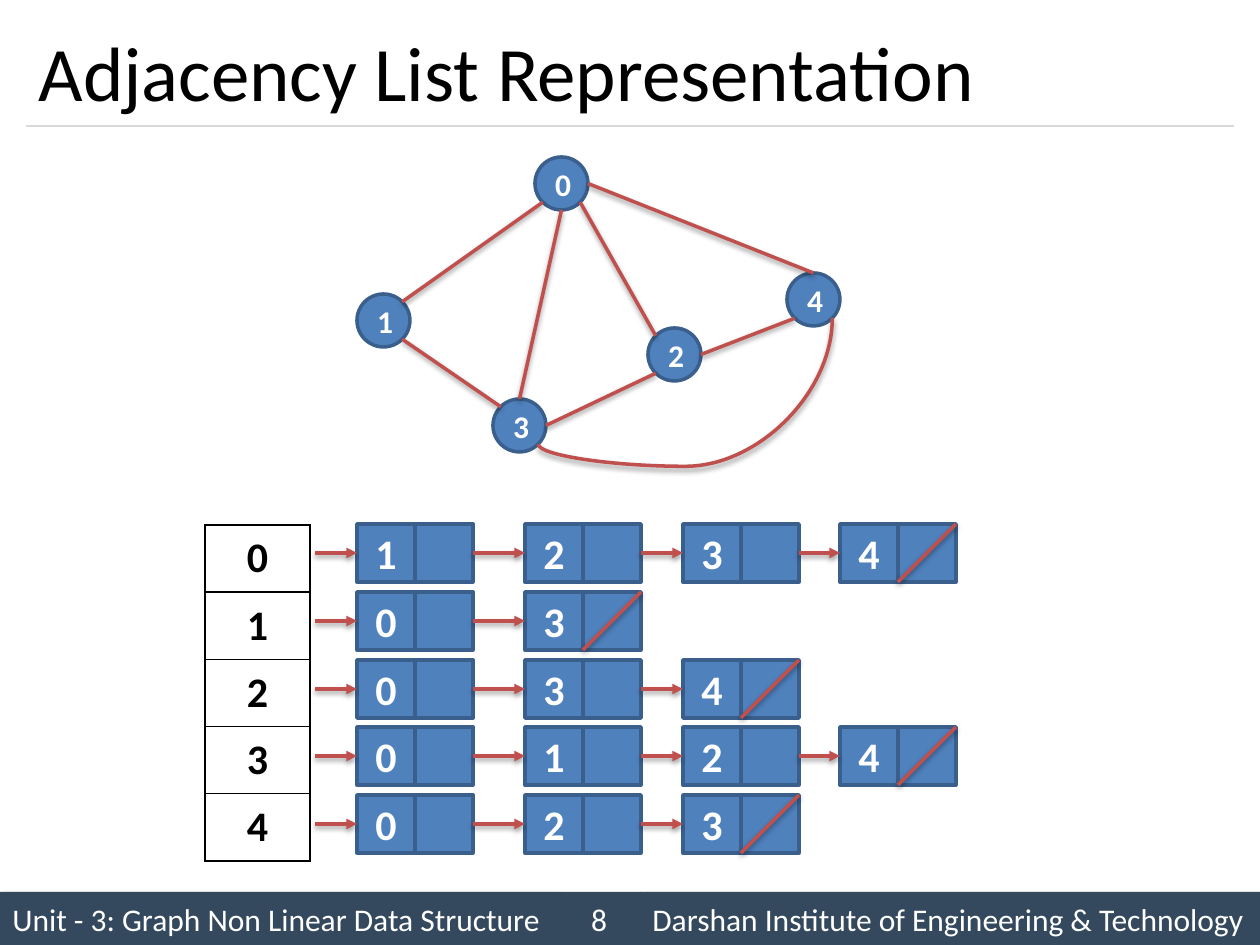
from dataclasses import dataclass
from math import cos, pi, sin

from lxml.etree import SubElement
from pptx import Presentation
from pptx.dml.color import RGBColor
from pptx.enum.shapes import MSO_CONNECTOR, MSO_SHAPE
from pptx.enum.text import MSO_ANCHOR, PP_ALIGN
from pptx.oxml.ns import qn
from pptx.util import Emu, Pt

PX_PER_INCH = 126
FONT = "Calibri"
BLUE, BLUE_LINE, RED = "4F81BD", "3A5F8C", "C0504D"
BLACK, WHITE, GREY, NAVY = "000000", "FFFFFF", "D9D9D9", "34495E"

NODE_SIZE = 53
CELL = 58
LIST_TOP, ROW_STEP = 524, 67.75
COLUMN_LEFTS = (357, 525, 683, 840)
ARROW_START = 315


@dataclass(frozen=True)
class Node:
    label: str
    left: int
    top: int

    def site(self, index: int) -> tuple[float, float]:
        """Point on the circle: 0 is the top, then 45 degree steps to the left."""
        radius, angle = NODE_SIZE / 2, pi / 2 + index * pi / 4
        return (self.left + radius + radius * cos(angle),
                self.top + radius - radius * sin(angle))


@dataclass(frozen=True)
class Edge:
    start: int
    start_site: int
    end: int
    end_site: int


@dataclass(frozen=True)
class FooterPart:
    text: str
    left: int
    width: int
    alignment: PP_ALIGN = PP_ALIGN.LEFT
    shadow: bool = True


NODES = (Node("0", 535, 157), Node("1", 357, 294), Node("2", 648, 328),
         Node("3", 493, 399), Node("4", 787, 273))
EDGES = (Edge(0, 3, 1, 7), Edge(1, 5, 3, 1), Edge(3, 6, 2, 3), Edge(2, 6, 4, 3),
         Edge(0, 4, 3, 0), Edge(0, 5, 2, 1), Edge(0, 6, 4, 0))
ADJACENCY = ("1234", "03", "034", "0124", "023")
FOOTER = (FooterPart("Unit - 3: Graph Non Linear Data Structure", 0, 557),
          FooterPart("Darshan Institute of Engineering & Technology", 640, 620),
          FooterPart("8", 557, 84, PP_ALIGN.CENTER, False))


def px(value: float) -> Emu:
    return Emu(round(value * 914400 / PX_PER_INCH))


def rgb(colour: str) -> RGBColor:
    return RGBColor.from_string(colour)


def write(text_frame, text: str, size: int, colour: str, bold: bool = False,
          alignment: PP_ALIGN = PP_ALIGN.CENTER) -> None:
    text_frame.text = text
    text_frame.vertical_anchor = MSO_ANCHOR.MIDDLE
    paragraph = text_frame.paragraphs[0]
    paragraph.alignment = alignment
    font = paragraph.runs[0].font
    font.name, font.size, font.bold = FONT, Pt(size), bold
    font.color.rgb = rgb(colour)


def add_shadow(shape, blur: float, distance: float, angle: int, opacity: int) -> None:
    properties = shape._element.spPr
    for effects in properties.findall(qn("a:effectLst")):
        properties.remove(effects)
    shadow = SubElement(SubElement(properties, qn("a:effectLst")), qn("a:outerShdw"),
                        blurRad=str(Pt(blur)), dist=str(Pt(distance)),
                        dir=str(angle * 60000), rotWithShape="0")
    colour = SubElement(shadow, qn("a:srgbClr"), val=BLACK)
    SubElement(colour, qn("a:alpha"), val=str(opacity * 1000))


def add_box(shapes, kind: MSO_SHAPE, left: float, top: float, width: float,
            height: float, fill: str, line: str = ""):
    shape = shapes.add_shape(kind, px(left), px(top), px(width), px(height))
    shape.shadow.inherit = False
    shape.fill.solid()
    shape.fill.fore_color.rgb = rgb(fill)
    if line:
        shape.line.color.rgb = rgb(line)
        shape.line.width = Pt(2)
    else:
        shape.line.fill.background()
    return shape


def add_red_line(shapes, start: tuple[float, float], end: tuple[float, float],
                 arrow: bool = False, kind: MSO_CONNECTOR = MSO_CONNECTOR.STRAIGHT):
    connector = shapes.add_connector(kind, *map(px, start + end))
    connector.line.color.rgb = rgb(RED)
    connector.line.width = Pt(2)
    if arrow:
        SubElement(connector.line._get_or_add_ln(), qn("a:tailEnd"), type="triangle")
    add_shadow(connector, 3.1, 1.6, 90, 38)
    return connector


def add_title(slide) -> None:
    title = slide.shapes.title
    title.left, title.top, title.width, title.height = map(px, (26, 15, 1207, 111))
    write(title.text_frame, "Adjacency List Representation", 44, BLACK,
          alignment=PP_ALIGN.LEFT)
    rule = slide.shapes.add_connector(MSO_CONNECTOR.STRAIGHT,
                                      *map(px, (26, 126, 1234, 126)))
    rule.line.color.rgb = rgb(GREY)
    rule.line.width = Pt(0.75)
    SubElement(rule._element.spPr, qn("a:effectLst"))


def add_footer(shapes) -> None:
    for part in FOOTER:
        box = add_box(shapes, MSO_SHAPE.RECTANGLE, part.left, 892, part.width, 53, NAVY)
        write(box.text_frame, part.text, 18, WHITE, alignment=part.alignment)
        if part.shadow:
            add_shadow(box, 4, 3, 45, 40)


def add_graph(shapes) -> None:
    for node in NODES:
        circle = add_box(shapes, MSO_SHAPE.OVAL, node.left, node.top,
                         NODE_SIZE, NODE_SIZE, BLUE, BLUE_LINE)
        write(circle.text_frame, node.label, 18, WHITE, bold=True)
    for edge in EDGES:
        add_red_line(shapes, NODES[edge.start].site(edge.start_site),
                     NODES[edge.end].site(edge.end_site))
    add_curved_edge(shapes, NODES[3].site(5), NODES[4].site(5))


def add_curved_edge(shapes, start: tuple[float, float], end: tuple[float, float]) -> None:
    """Join two points by a curve that dips below both, as a quarter-turned connector."""
    middle_x, middle_y = (start[0] + end[0]) / 2, (start[1] + end[1]) / 2
    half_width, half_height = abs(start[1] - end[1]) / 2, abs(start[0] - end[0]) / 2
    curve = add_red_line(shapes, (middle_x + half_width, middle_y + half_height),
                         (middle_x - half_width, middle_y - half_height),
                         kind=MSO_CONNECTOR.CURVE)
    properties = curve._element.spPr
    properties.find(qn("a:xfrm")).set("rot", str(90 * 60000))
    geometry = properties.find(qn("a:prstGeom"))
    adjustments = geometry.find(qn("a:avLst"))
    if adjustments is None:
        adjustments = SubElement(geometry, qn("a:avLst"))
    SubElement(adjustments, qn("a:gd"), name="adj1", fmla="val -17600")


def add_vertex_table(shapes) -> None:
    table = shapes.add_table(len(NODES), 1, px(205), px(525), px(105), px(336)).table
    table.first_row = table.horz_banding = False
    for node, row in zip(NODES, table.rows):
        cell = row.cells[0]
        write(cell.text_frame, node.label, 24, BLACK, bold=True)
        cell.vertical_anchor = MSO_ANCHOR.MIDDLE
        properties = cell._tc.get_or_add_tcPr()
        for side in ("lnL", "lnR", "lnT", "lnB"):
            border = SubElement(properties, qn(f"a:{side}"), w=str(Pt(1)))
            SubElement(SubElement(border, qn("a:solidFill")), qn("a:srgbClr"), val=BLACK)
        cell.fill.background()


def add_linked_list(shapes, labels: str, top: int) -> None:
    previous = None
    for label, left in zip(labels, COLUMN_LEFTS):
        group = shapes.add_group_shape()
        value, pointer = (add_box(group.shapes, MSO_SHAPE.RECTANGLE, cell_left, top,
                                  CELL, CELL, BLUE, BLUE_LINE)
                          for cell_left in (left, left + CELL))
        write(value.text_frame, label, 24, WHITE, bold=True)
        middle = top + CELL / 2
        arrow = add_red_line(shapes, (ARROW_START, middle), (left, middle), arrow=True)
        if previous is not None:
            arrow.begin_connect(previous, 3)
        arrow.end_connect(value, 1)
        previous = pointer
    add_red_line(shapes, (left + 2 * CELL, top), (left + CELL, top + CELL))


def main() -> None:
    presentation = Presentation()
    presentation.slide_width, presentation.slide_height = px(1260), px(945)
    slide = presentation.slides.add_slide(presentation.slide_layouts[5])
    add_title(slide)
    add_footer(slide.shapes)
    add_graph(slide.shapes)
    add_vertex_table(slide.shapes)
    for row, labels in enumerate(ADJACENCY):
        add_linked_list(slide.shapes, labels, round(LIST_TOP + row * ROW_STEP))
    presentation.save("out.pptx")


if __name__ == "__main__":
    main()
